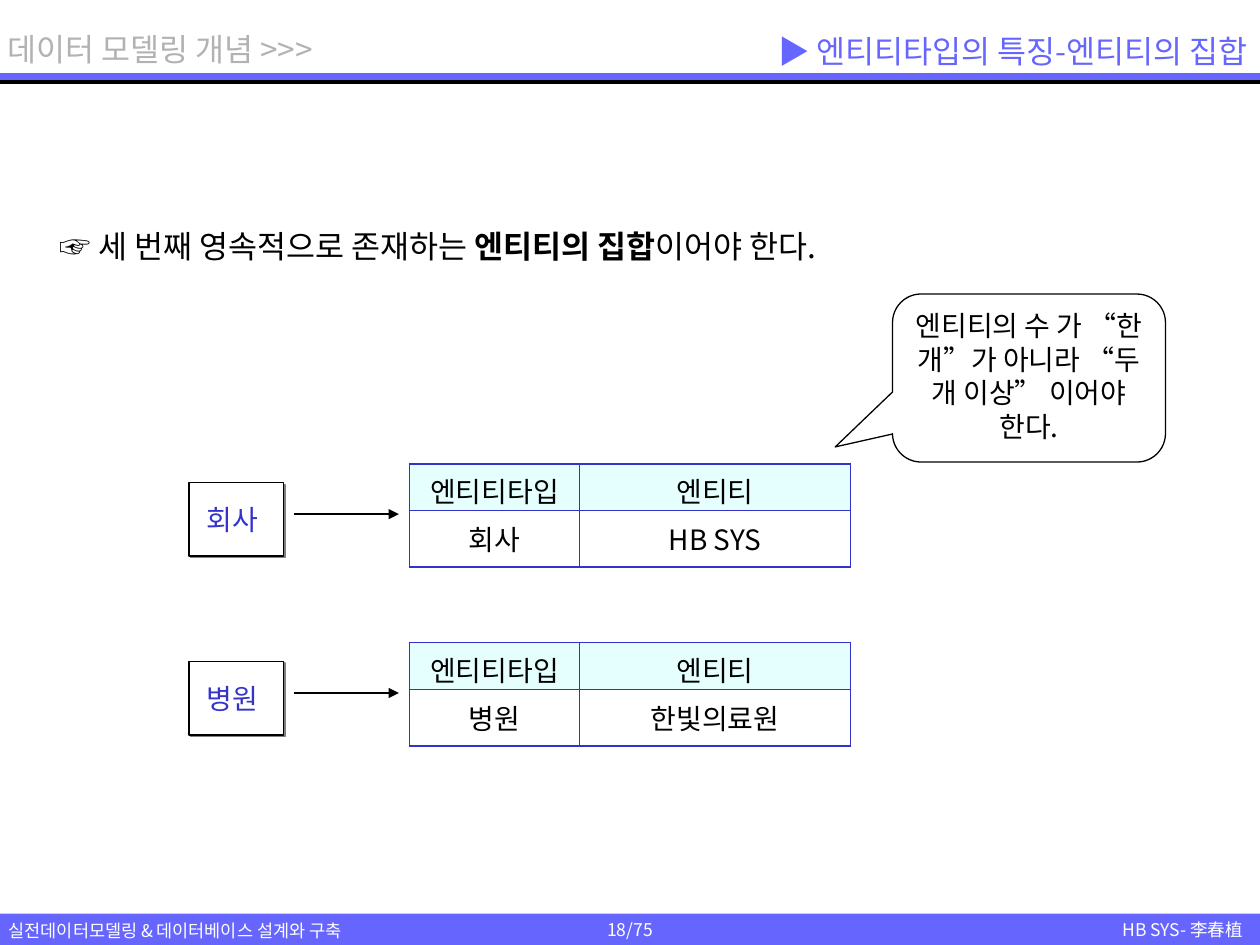
from lxml.etree import SubElement
from pptx import Presentation
from pptx.dml.color import RGBColor
from pptx.enum.shapes import MSO_CONNECTOR, MSO_SHAPE
from pptx.enum.text import MSO_ANCHOR, PP_ALIGN
from pptx.oxml import parse_xml
from pptx.oxml.ns import nsdecls, qn
from pptx.util import Pt

FONT = "Noto Sans CJK KR"
BLACK, WHITE, BAR, INK, HEADER = "000000", "FFFFFF", "6666FF", "3333CC", "CCFFFF"
LEFT, CENTER, RIGHT = PP_ALIGN.LEFT, PP_ALIGN.CENTER, PP_ALIGN.RIGHT
color = RGBColor.from_string


def write(frame, parts, size, ink, align=LEFT, anchor=MSO_ANCHOR.TOP, wrap=True):
    """Fill a text frame with one paragraph; every second part is bold."""
    frame.word_wrap = wrap
    frame.vertical_anchor = anchor
    paragraph = frame.paragraphs[0]
    paragraph.alignment = align
    font = paragraph.font
    font.size, font.name = Pt(size), FONT
    font.color.rgb = color(ink)
    SubElement(paragraph._p.pPr.find(qn("a:defRPr")), qn("a:ea"), typeface=FONT)
    for index, part in enumerate(parts):
        run = paragraph.add_run()
        run.text = part
        if index % 2:
            run.font.bold = True


def add_line(left, right, y, width):
    line = slide.shapes.add_connector(
        MSO_CONNECTOR.STRAIGHT, Pt(left), Pt(y), Pt(right), Pt(y))
    line.line.color.rgb = color(BLACK)
    line.line.width = Pt(width)
    SubElement(line._element.spPr, qn("a:effectLst"))
    return line


presentation = Presentation()
presentation.slide_width, presentation.slide_height = Pt(720), Pt(540)
slide = presentation.slides.add_slide(presentation.slide_layouts[6])

# Header and footer bars, with the page number in the footer
for top, height, label in [(522, 18, "18/75"), (41.8, 4.2, "")]:
    bar = slide.shapes.add_shape(MSO_SHAPE.RECTANGLE, 0, Pt(top), Pt(720), Pt(height))
    bar.shadow.inherit = False
    bar.fill.solid()
    bar.fill.fore_color.rgb = color(BAR)
    bar.line.fill.background()
    if label:
        write(bar.text_frame, [label], 10, WHITE, CENTER, MSO_ANCHOR.MIDDLE, False)

# Rules under the header
for y in (46.1, 46.8, 47.5):
    add_line(0, 720, y, 0.75)

# Footer texts, section name, title and statement
statement = ["☞ 세 번째 영속적으로 존재하는 ", "엔티티의 집합", "이어야 한다."]
for left, top, width, height, parts, size, ink, align, anchor, wrap in [
    (-2, 522, 225, 19.4, ["실전데이터모델링 & 데이터베이스 설계와 구축"], 10, WHITE,
     LEFT, MSO_ANCHOR.TOP, False),
    (621.4, 521.5, 95.8, 19.4, ["HB SYS- 李春植"], 10, WHITE, RIGHT, MSO_ANCHOR.TOP, True),
    (-2.8, 13.5, 201.6, 28.8, ["데이터 모델링 개념 >>>"], 18, "B2B2B2",
     LEFT, MSO_ANCHOR.TOP, False),
    (27, 126, 666, 28.8, statement, 18, BLACK, LEFT, MSO_ANCHOR.TOP, True),
    (360, 13.5, 360, 31, ["▶ 엔티티타입의 특징-엔티티의 집합"], 18, BAR,
     RIGHT, MSO_ANCHOR.MIDDLE, False),
]:
    box = slide.shapes.add_textbox(Pt(left), Pt(top), Pt(width), Pt(height))
    write(box.text_frame, parts, size, ink, align, anchor, wrap)

# Two examples: entity type box, arrow and table
for top, entity_type, entity in [(265, "회사", "HB SYS"), (367.2, "병원", "한빛의료원")]:
    box = slide.shapes.add_shape(
        MSO_SHAPE.RECTANGLE, Pt(108), Pt(top + 10.8), Pt(54), Pt(42))
    box.fill.solid()
    box.fill.fore_color.rgb = color(WHITE)
    box.line.color.rgb = color(BLACK)
    box.line.width = Pt(0.75)
    box._element.spPr.append(parse_xml(
        f'<a:effectLst {nsdecls("a")}><a:outerShdw dist="{Pt(1.4)}" dir="2700000">'
        '<a:srgbClr val="808080"/></a:outerShdw></a:effectLst>'))
    box.text_frame.margin_right = Pt(11.5)
    write(box.text_frame, [entity_type], 16, INK, CENTER, MSO_ANCHOR.MIDDLE, False)

    arrow = add_line(168, 228, top + 28.8, 1)
    SubElement(arrow.line._get_or_add_ln(), qn("a:tailEnd"), type="triangle")

    frame = slide.shapes.add_table(2, 2, Pt(234), Pt(top), Pt(252), Pt(59))
    table = frame.table
    for column, width in zip(table.columns, (97.2, 154.8)):
        column.width = Pt(width)
    for row, height in zip(table.rows, (26.8, 32.2)):
        row.height = Pt(height)
    for r, texts in enumerate([("엔티티타입", "엔티티"), (entity_type, entity)]):
        for c, text in enumerate(texts):
            cell = table.cell(r, c)
            write(cell.text_frame, [text], 16, BLACK, CENTER)
            cell.vertical_anchor = MSO_ANCHOR.MIDDLE
            cell.margin_left = cell.margin_right = Pt(7.2)
            cell.margin_top = cell.margin_bottom = Pt(3.6)
            cell.fill.solid()
            cell.fill.fore_color.rgb = color(WHITE if r else HEADER)
            properties = cell._tc.get_or_add_tcPr()
            if r == 0:
                SubElement(properties.find(".//" + qn("a:srgbClr")),
                           qn("a:alpha"), val="50000")
            # Thick outer borders, thin inner ones
            outer = [("lnL", c == 0), ("lnR", c == 1), ("lnT", r == 0), ("lnB", r == 1)]
            for position, (side, thick) in enumerate(outer):
                properties.insert(position, parse_xml(
                    f'<a:{side} {nsdecls("a")} w="{Pt(1.08 if thick else 0.23)}">'
                    f'<a:solidFill><a:srgbClr val="{INK}"/></a:solidFill></a:{side}>'))

# Callout
callout = slide.shapes.add_shape(
    MSO_SHAPE.ROUNDED_RECTANGULAR_CALLOUT, Pt(510), Pt(168), Pt(156), Pt(96))
callout.shadow.inherit = False
for index, value in enumerate((-0.71, 0.41, 0.17)):
    callout.adjustments[index] = value
callout.fill.background()
callout.line.color.rgb = color(BLACK)
callout.line.width = Pt(0.75)
write(callout.text_frame, ["엔티티의 수 가 “한 개”가 아니라 “두 개 이상” 이어야 한다."],
      16, BLACK, CENTER)

presentation.save("out.pptx")
